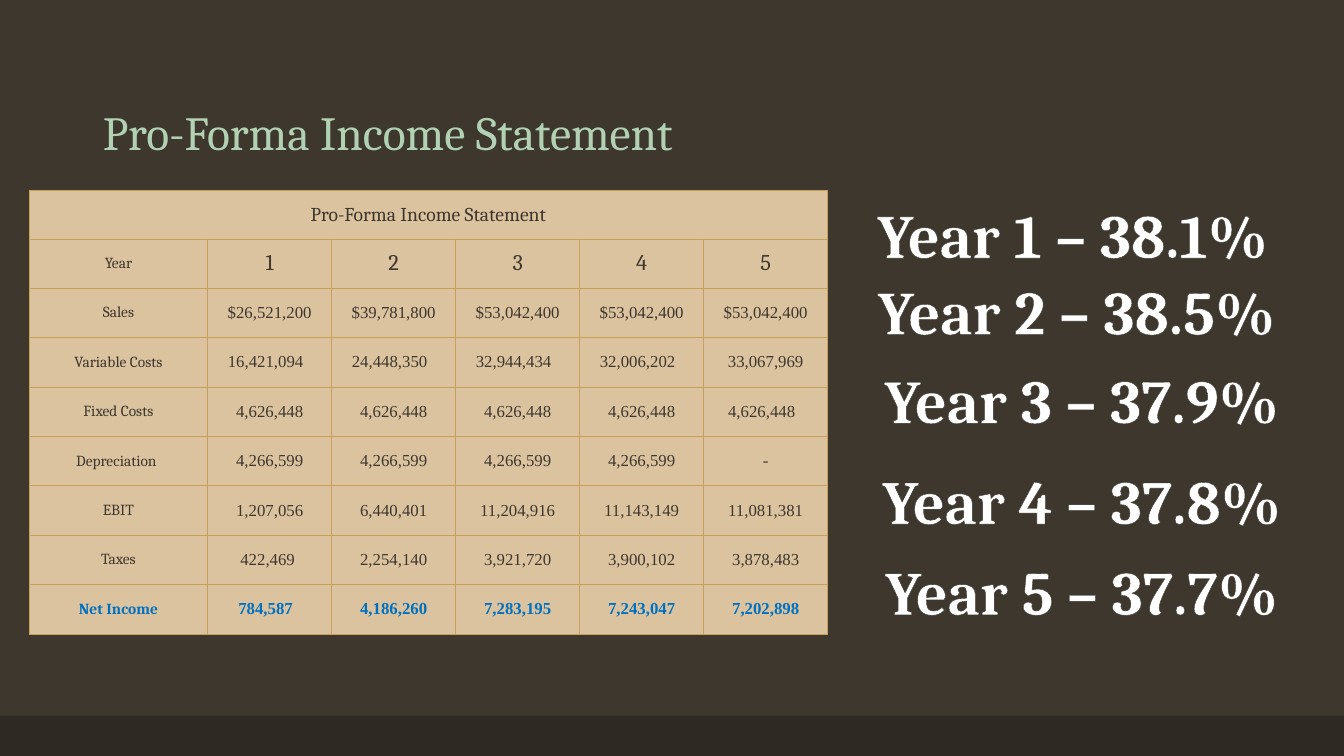
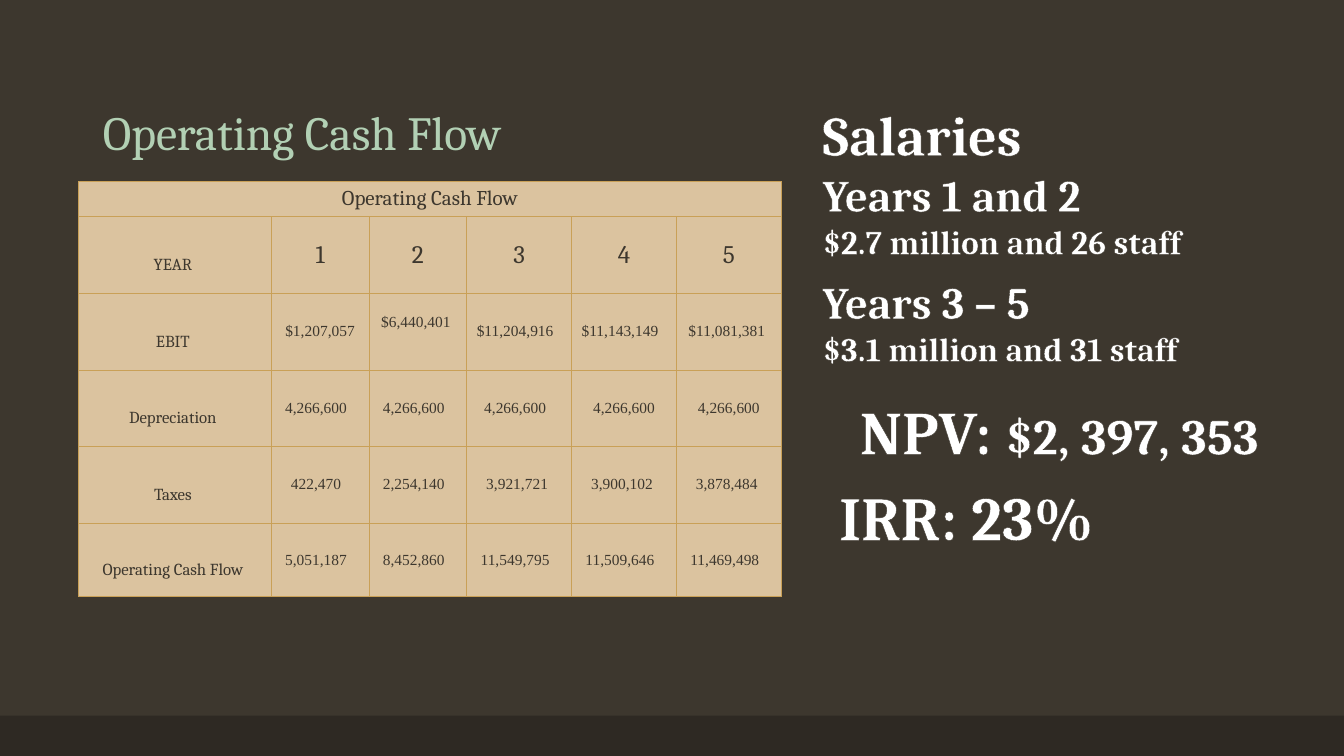
from dataclasses import dataclass

from lxml import etree
from pptx import Presentation
from pptx.dml.color import RGBColor
from pptx.enum.shapes import MSO_SHAPE
from pptx.enum.text import MSO_ANCHOR, MSO_AUTO_SIZE, PP_ALIGN
from pptx.oxml.ns import qn
from pptx.util import Inches, Pt

RECTANGLE = MSO_SHAPE.RECTANGLE
MIDDLE, BOTTOM = MSO_ANCHOR.MIDDLE, MSO_ANCHOR.BOTTOM
LEFT, CENTER = PP_ALIGN.LEFT, PP_ALIGN.CENTER
FIT_SHAPE, NO_FIT = MSO_AUTO_SIZE.SHAPE_TO_FIT_TEXT, MSO_AUTO_SIZE.NONE
TITLE_ONLY = 5


@dataclass(frozen=True)
class Theme:
    background: str = "3D372E"
    band: str = "2E2923"
    title: str = "B2D0B4"
    cell: str = "DBC39F"
    border: str = "C9A057"
    accent: str = "0070C0"
    callout: str = "FFFFFF"
    text_font: str = "Cambria"
    number_font: str = "Times New Roman"
    title_size: int = 34
    huge: int = 44
    heading: int = 40
    amount: int = 36
    subheading: int = 32
    detail: int = 24
    border_width: float = 0.5
    outline_width: float = 0.75


@dataclass(frozen=True)
class TableStyle:
    """Type sizes in points and cell insets in inches."""
    caption: int
    label: int
    year: int
    value: int
    side: float = 0.1
    edge: float = 0.05
    highlight_last: bool = False


def add_line(parent, tag, color, width):
    line = etree.SubElement(parent, qn(tag), w=str(Pt(width)))
    fill = etree.SubElement(line, qn("a:solidFill"))
    etree.SubElement(fill, qn("a:srgbClr"), val=color)


def set_font(font, name, size, color, bold=False):
    font.name, font.size, font.bold = name, Pt(size), bold
    font.color.rgb = RGBColor.from_string(color)


class Deck:
    def __init__(self, theme):
        self.theme = theme
        self.deck = Presentation()
        self.deck.slide_width, self.deck.slide_height = Inches(13.33), Inches(7.5)
        self.page = None
        fill = self.deck.slide_master.background.fill
        fill.solid()
        fill.fore_color.rgb = RGBColor.from_string(theme.background)

    def new_page(self, title):
        self.page = self.deck.slides.add_slide(self.deck.slide_layouts[TITLE_ONLY])
        band = self.page.shapes.add_shape(
            RECTANGLE, 0, Inches(7.1), self.deck.slide_width, Inches(0.4))
        band.shadow.inherit = False
        band.fill.solid()
        band.fill.fore_color.rgb = RGBColor.from_string(self.theme.band)
        band.line.fill.background()

        box = self.page.shapes.title
        box.left, box.top, box.width, box.height = map(Inches, (0.92, 0.4, 11.5, 1.25))
        frame = box.text_frame
        frame.text = title
        frame.auto_size = NO_FIT
        frame.vertical_anchor = BOTTOM
        para = frame.paragraphs[0]
        para.alignment, para.line_spacing = LEFT, 0.9
        set_font(para.font, self.theme.text_font, self.theme.title_size, self.theme.title)

    def table(self, left, top, widths, heights, rows, style, nudges):
        """Draw a captioned table; nudges maps (row, column) to (left, up) shifts."""
        shape = self.page.shapes.add_table(
            len(rows), len(widths), Inches(left), Inches(top),
            Inches(sum(widths)), Inches(sum(heights)))
        table = shape.table
        table.first_row = table.horz_banding = False
        for column, width in zip(table.columns, widths):
            column.width = Inches(width)
        for row, height in zip(table.rows, heights):
            row.height = Inches(height)
        table.cell(0, 0).merge(table.cell(0, len(widths) - 1))
        for r, texts in enumerate(rows):
            for c in range(len(widths)):
                cell = table.cell(r, c)
                cell.text = texts[c] if c < len(texts) else ""
                self.format_cell(cell, style, nudges.get((r, c), (0, 0)))
                self.format_cell_text(cell, r, c, style, r == len(rows) - 1)

    def format_cell(self, cell, style, nudge):
        shift, rise = nudge
        cell.vertical_anchor = MIDDLE
        cell.margin_left = Inches(style.side - shift)
        cell.margin_right = Inches(style.side + shift)
        cell.margin_top = Inches(style.edge + max(0, -2 * rise))
        cell.margin_bottom = Inches(style.edge + max(0, 2 * rise))
        properties = cell._tc.get_or_add_tcPr()
        for tag in ("a:lnL", "a:lnR", "a:lnT", "a:lnB"):
            add_line(properties, tag, self.theme.border, self.theme.border_width)
        cell.fill.solid()
        cell.fill.fore_color.rgb = RGBColor.from_string(self.theme.cell)

    def format_cell_text(self, cell, row, column, style, is_last):
        if row == 0:
            size = style.caption
        elif column == 0:
            size = style.label
        else:
            size = style.year if row == 1 else style.value
        is_number = row > 1 and column > 0
        name = self.theme.number_font if is_number else self.theme.text_font
        strong = is_last and style.highlight_last
        color = self.theme.accent if strong else self.theme.background
        para = cell.text_frame.paragraphs[0]
        para.alignment = CENTER
        set_font(para.font, name, size, color, strong)

    def callout(self, left, top, width, height, lines, align=CENTER, wrap=False):
        """Add bold outlined text; each line is a list of (text, size) spans."""
        box = self.page.shapes.add_textbox(*map(Inches, (left, top, width, height)))
        frame = box.text_frame
        frame.word_wrap = wrap
        frame.auto_size = FIT_SHAPE
        for index, spans in enumerate(lines):
            para = frame.paragraphs[0] if index == 0 else frame.add_paragraph()
            para.alignment = align
            set_font(para.font, self.theme.text_font, spans[0][1], self.theme.callout, True)
            for text, size in spans:
                span = para.add_run()
                span.text = text
                add_line(span._r.get_or_add_rPr(), "a:ln",
                         self.theme.background, self.theme.outline_width)
                if size != spans[0][1]:
                    span.font.size = Pt(size)


INCOME_ROWS = [
    ["Pro-Forma Income Statement"],
    ["Year", "1", "2", "3", "4", "5"],
    ["Sales", "$26,521,200", "$39,781,800", "$53,042,400", "$53,042,400", "$53,042,400"],
    ["Variable Costs", "16,421,094", "24,448,350", "32,944,434", "32,006,202", "33,067,969"],
    ["Fixed Costs", "4,626,448", "4,626,448", "4,626,448", "4,626,448", "4,626,448"],
    ["Depreciation", "4,266,599", "4,266,599", "4,266,599", "4,266,599", "-"],
    ["EBIT", "1,207,056", "6,440,401", "11,204,916", "11,143,149", "11,081,381"],
    ["Taxes", "422,469", "2,254,140", "3,921,720", "3,900,102", "3,878,483"],
    ["Net Income", "784,587", "4,186,260", "7,283,195", "7,243,047", "7,202,898"],
]
CASH_FLOW_ROWS = [
    ["Operating Cash Flow"],
    ["YEAR", "1", "2", "3", "4", "5"],
    ["EBIT", "$1,207,057", "$6,440,401", "$11,204,916", "$11,143,149", "$11,081,381"],
    ["Depreciation", "4,266,600", "4,266,600", "4,266,600", "4,266,600", "4,266,600"],
    ["Taxes", "422,470", "2,254,140", "3,921,721", "3,900,102", "3,878,484"],
    ["Operating Cash Flow", "5,051,187", "8,452,860", "11,549,795", "11,509,646",
     "11,469,498"],
]
MARGINS = [(8.32, 1.9, "38.1%"), (8.36, 2.66, "38.5%"), (8.41, 3.54, "37.9%"),
           (8.41, 4.54, "37.8%"), (8.41, 5.44, "37.7%")]


def income_page(deck):
    deck.new_page("Pro-Forma Income Statement")
    nudges = {(3, column): (0.04, 0) for column in range(1, 5)}
    nudges |= {(4, 5): (0.04, 0), (5, 0): (0.02, 0), (7, 1): (0.02, 0), (8, 1): (0.04, 0)}
    style = TableStyle(caption=14, label=11, year=16, value=12,
                       side=0.06, edge=0.03, highlight_last=True)
    deck.table(0.29, 1.89, [1.77] + [1.23] * 5, [0.48] + [0.49] * 8,
               INCOME_ROWS, style, nudges)
    for year, (left, top, margin) in enumerate(MARGINS, 1):
        deck.callout(left, top, 4.64, 0.84, [[(f"Year {year} – {margin}", deck.theme.huge)]])


def cash_flow_page(deck):
    theme = deck.theme
    deck.new_page("Operating Cash Flow")
    nudges = {(row, column): (0.04, 0) for row in range(2, 6) for column in range(1, 6)}
    nudges |= {(row, 0): (0.02, -0.1) for row in range(1, 6)}
    nudges |= {(4, column): (0.02, 0) for column in range(3, 6)}
    nudges |= {(2, 1): (0, 0), (2, 2): (0.02, 0.09), (2, 5): (0.02, 0),
               (3, 4): (0, 0), (3, 5): (0, 0)}
    style = TableStyle(caption=15, label=12, year=18, value=11)
    deck.table(0.78, 1.8, [1.91] + [0.97] * 2 + [1.04] * 3, [0.35] + [0.76] * 4 + [0.73],
               CASH_FLOW_ROWS, style, nudges)
    deck.callout(8.06, 3.85, 4.89, 0.84,
                 [[("NPV: ", theme.huge), ("$2, 397, 353", theme.amount)]])
    deck.callout(8.06, 4.7, 3.05, 0.84, [[("IRR: 23%", theme.huge)]])
    deck.callout(8.06, 0.94, 5.14, 1.72,
                 [[("Salaries", theme.heading)],
                  [("Years 1 and 2", theme.subheading)],
                  [("$2.7 million and 26 staff", theme.detail)]], LEFT, True)
    deck.callout(8.06, 2.67, 5.14, 1.04,
                 [[("Years 3 – 5", theme.subheading)],
                  [("$3.1 million and 31 staff", theme.detail)]], LEFT, True)


def main():
    deck = Deck(Theme())
    income_page(deck)
    cash_flow_page(deck)
    deck.deck.save("out.pptx")


if __name__ == "__main__":
    main()
